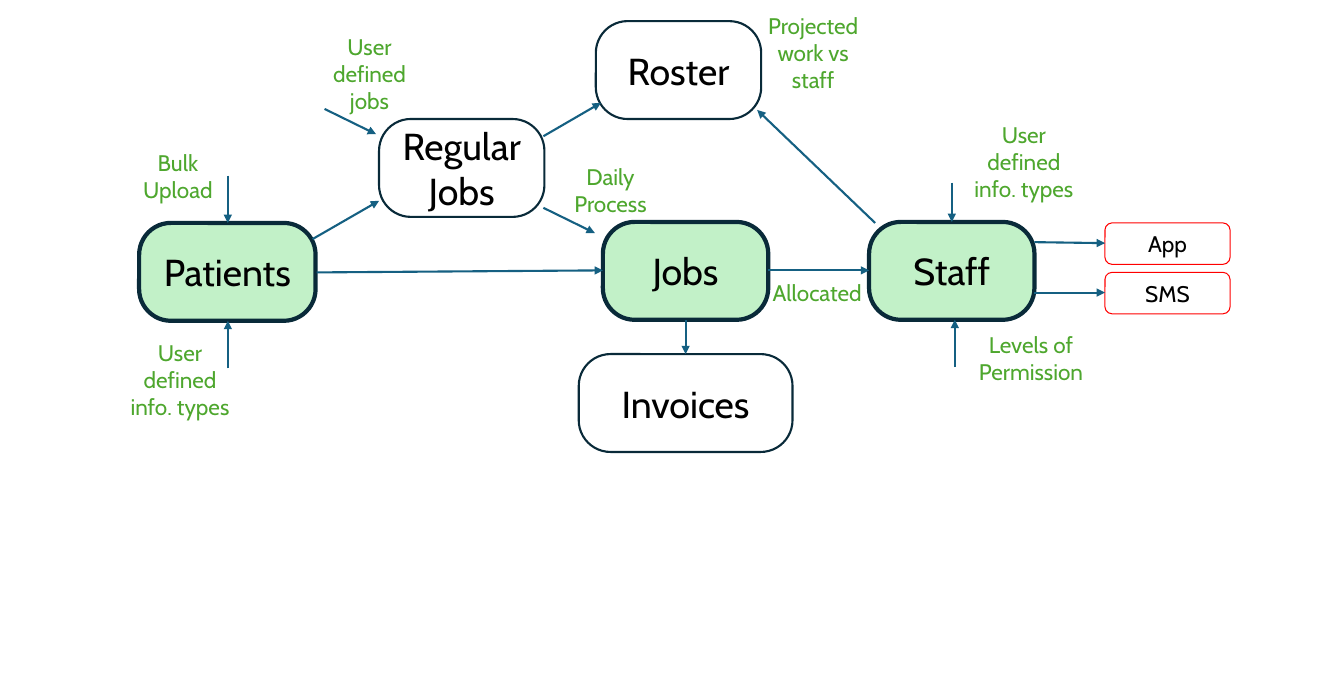
from lxml import etree
from pptx import Presentation
from pptx.dml.color import RGBColor
from pptx.enum.shapes import MSO_CONNECTOR, MSO_SHAPE
from pptx.enum.text import MSO_ANCHOR, PP_ALIGN
from pptx.oxml.ns import qn
from pptx.util import Pt

PX = 9144  # 100 px to the inch
ROUNDED = MSO_SHAPE.ROUNDED_RECTANGLE
STRAIGHT = MSO_CONNECTOR.STRAIGHT
CENTER = PP_ALIGN.CENTER
MIDDLE, TOP = MSO_ANCHOR.MIDDLE, MSO_ANCHOR.TOP

BLACK = RGBColor(0x00, 0x00, 0x00)
NAVY = RGBColor(0x09, 0x2A, 0x39)
MINT = RGBColor(0xC2, 0xF1, 0xC8)
RED = RGBColor(0xFF, 0x00, 0x00)
BLUE = RGBColor(0x15, 0x60, 0x82)
GREEN = RGBColor(0x4E, 0xA7, 0x2E)

deck = Presentation()
deck.slide_width, deck.slide_height = 1333 * PX, 669 * PX
page = deck.slides.add_slide(deck.slide_layouts[6])


def write(box, text, *, size, color=BLACK, anchor=MIDDLE):
    frame = box.text_frame
    frame.word_wrap = True
    frame.vertical_anchor = anchor
    para = frame.paragraphs[0]
    para.alignment = CENTER
    span = para.add_run()
    span.text = text
    span.font.name = "Cabin"
    span.font.size = Pt(size)
    span.font.color.rgb = color


def add_box(left, top, width, height, *, outline, weight, fill=None):
    box = page.shapes.add_shape(ROUNDED, left * PX, top * PX, width * PX, height * PX)
    box.shadow.inherit = False
    if fill is None:
        box.fill.background()
    else:
        box.fill.solid()
        box.fill.fore_color.rgb = fill
    box.line.color.rgb = outline
    box.line.width = Pt(weight)
    return box


# Main steps: the filled ones have a heavier outline
STEPS = [
    ("Regular Jobs", 376, 118, 164, None),
    ("Staff", 862, 220, 164, MINT),
    ("Jobs", 598, 220, 164, MINT),
    ("Patients", 138, 221, 175, MINT),
    ("Roster", 591, 21, 164, None),
    ("Invoices", 574, 351, 212, None),
]
for name, left, top, width, fill in STEPS:
    step = add_box(left, top, width, 97, outline=NAVY, weight=3 if fill else 1.5, fill=fill)
    step.adjustments[0] = 0.325
    write(step, name, size=26.8)

# Staff channels
for row, name in enumerate(["App", "SMS"]):
    channel = add_box(1096, 221 + 49 * row, 124, 41, outline=RED, weight=0.75)
    write(channel, name, size=16.1)

# Arrows: start x, start y, end x, end y
ARROWS = [
    (539, 206, 590, 231),   # Regular Jobs to Jobs
    (762, 268, 862, 268),   # Jobs to Staff
    (1026, 240, 1096, 241),  # Staff to App
    (1026, 290, 1096, 290),  # Staff to SMS
    (310, 237, 376, 199),   # Patients to Regular Jobs
    (314, 270, 598, 268),   # Patients to Jobs
    (539, 135, 596, 102),   # Regular Jobs to Roster
    (868, 221, 751, 109),   # Staff to Roster
    (680, 317, 680, 351),   # Jobs to Invoices
    (226, 174, 226, 221),   # into Patients from above
    (226, 365, 226, 318),   # into Patients from below
    (322, 108, 373, 133),   # into Regular Jobs
    (944, 181, 944, 220),   # into Staff from above
    (947, 364, 947, 317),   # into Staff from below
]
for ends in ARROWS:
    arrow = page.shapes.add_connector(STRAIGHT, *(value * PX for value in ends))
    arrow.line.color.rgb = BLUE
    arrow.line.width = Pt(1.5)
    etree.SubElement(arrow.line._get_or_add_ln(), qn("a:tailEnd"), type="triangle")
    etree.SubElement(arrow._element.spPr, qn("a:effectLst"))

# Green annotations: text, left, top, width, height
LABELS = [
    ("Daily Process", 544, 157, 123, 64),
    ("Bulk Upload", 115, 143, 123, 64),
    ("User defined jobs", 305, 28, 123, 91),
    ("User defined info. types", 117, 331, 123, 91),
    ("User defined info. types", 954, 115, 123, 91),
    ("Levels of Permission", 949, 323, 147, 64),
    ("Projected work vs staff", 745, 7, 123, 91),
    ("Allocated", 749, 272, 123, 37),
]
for text, *place in LABELS:
    label = page.shapes.add_textbox(*(value * PX for value in place))
    write(label, text, size=16.1, color=GREEN, anchor=TOP)

deck.save("out.pptx")
